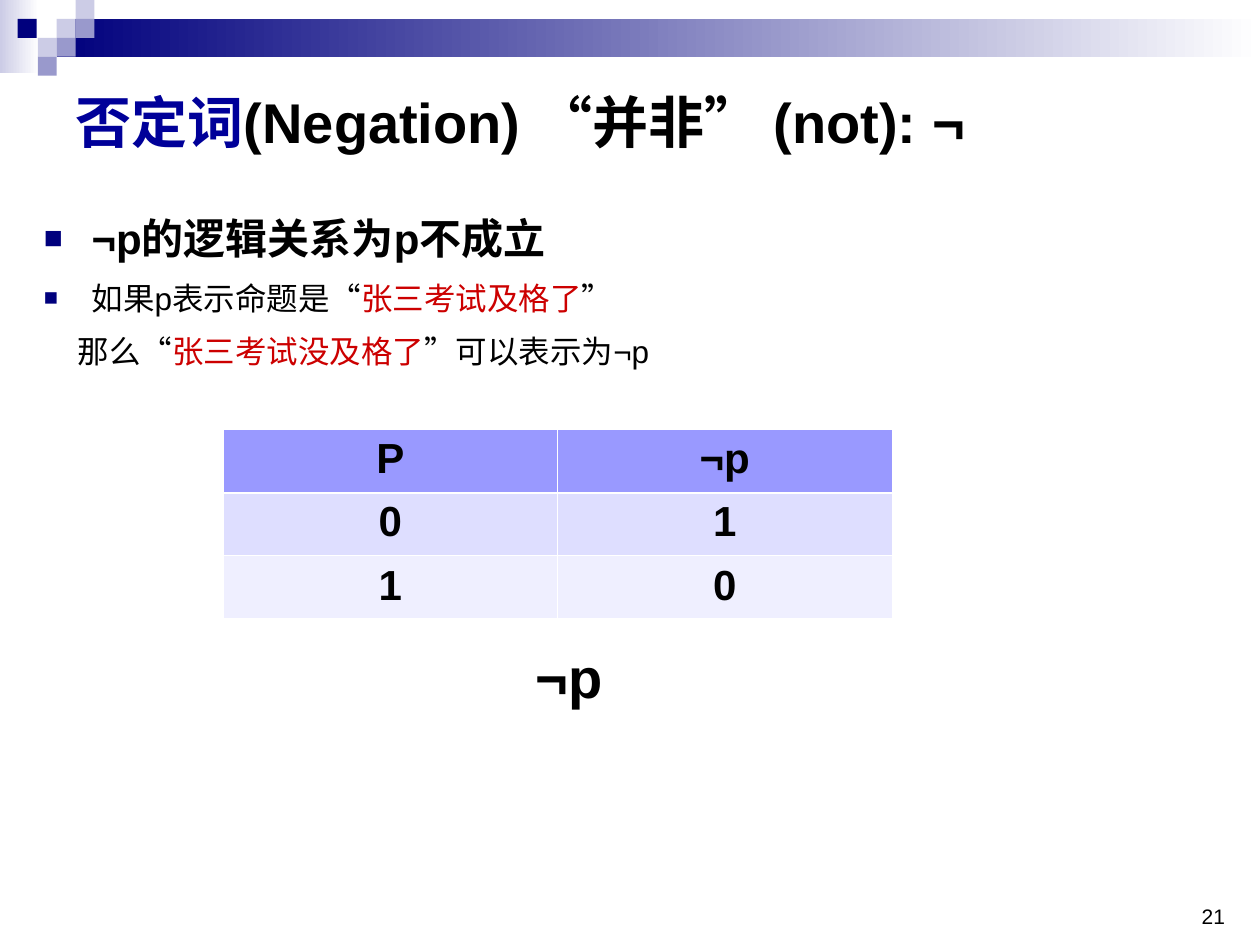
from lxml import etree
from pptx import Presentation
from pptx import util as u
from pptx.dml.color import RGBColor
from pptx.enum import shapes, text
from pptx.oxml import ns

NAVY = RGBColor(0x00, 0x00, 0x7D)
TITLE_BLUE = RGBColor(0x00, 0x00, 0x99)
LAVENDER = RGBColor(0xCC, 0xCC, 0xE6)
PERIWINKLE = RGBColor(0x99, 0x99, 0xCC)
RED = RGBColor(0xCC, 0x00, 0x00)
BLACK = RGBColor(0x00, 0x00, 0x00)
WHITE = RGBColor(0xFF, 0xFF, 0xFF)
ROW_FILLS = [
    RGBColor(0x99, 0x99, 0xFF),
    RGBColor(0xDE, 0xDE, 0xFF),
    RGBColor(0xEF, 0xEF, 0xFF),
]
LATIN, CJK = "Arial", "Noto Sans CJK SC"
THIN, THICK = 0.45, 1.47


def add_xml(parent, tag, **attributes):
    return etree.SubElement(parent, ns.qn(tag), attributes)


class SlideBuilder:
    def __init__(self, slide):
        self.slide = slide

    def block(self, left, top, width, height, color, fade_to=None):
        """Add a rectangle, fading to the right if fade_to is given."""
        rect = self.slide.shapes.add_shape(
            shapes.MSO_SHAPE.RECTANGLE,
            *(u.Inches(n) for n in (left, top, width, height)))
        rect.shadow.inherit = False
        rect.line.fill.background()
        if fade_to is None:
            rect.fill.solid()
            rect.fill.fore_color.rgb = color
        else:
            rect.fill.gradient()
            rect.fill.gradient_angle = 0
            for stop, shade in zip(rect.fill.gradient_stops, (color, fade_to)):
                stop.color.rgb = shade

    def add_runs(self, paragraph, pieces, size, bold=False):
        """Fill a paragraph with (words, colour, latin font) pieces."""
        for words, color, face in pieces:
            run = paragraph.add_run()
            run.text = words
            run.font.size = u.Pt(size)
            run.font.bold = bold
            run.font.color.rgb = color
            run.font.name = face
            add_xml(run.font._element, "a:ea", typeface=CJK)

    def title(self, left, top, width, height, pieces, size):
        holder = self.slide.shapes.title
        holder.left, holder.top = u.Inches(left), u.Inches(top)
        holder.width, holder.height = u.Inches(width), u.Inches(height)
        frame = holder.text_frame
        frame.vertical_anchor = text.MSO_ANCHOR.MIDDLE
        frame.auto_size = text.MSO_AUTO_SIZE.NONE
        frame.paragraphs[0].alignment = text.PP_ALIGN.LEFT
        self.add_runs(frame.paragraphs[0], pieces, size, True)

    def text_box(self, left, top, width, height):
        box = self.slide.shapes.add_textbox(
            *(u.Inches(n) for n in (left, top, width, height)))
        box.text_frame.word_wrap = True
        return box.text_frame

    def label(self, left, top, width, height, words, size, bold=False,
              anchor=text.MSO_ANCHOR.TOP):
        frame = self.text_box(left, top, width, height)
        frame.vertical_anchor = anchor
        frame.paragraphs[0].alignment = text.PP_ALIGN.CENTER
        self.add_runs(frame.paragraphs[0], [(words, BLACK, LATIN)], size, bold)

    def body(self, left, top, width, height, lines):
        frame = self.text_box(left, top, width, height)
        for number, (pieces, size, bold, bulleted) in enumerate(lines):
            paragraph = frame.add_paragraph() if number else frame.paragraphs[0]
            paragraph.line_spacing = 1.2
            if number:
                paragraph.space_before = u.Pt(4.5)
            properties = paragraph._p.get_or_add_pPr()
            if bulleted:
                properties.set("marL", str(u.Inches(0.38)))
                properties.set("indent", str(-u.Inches(0.38)))
                add_xml(add_xml(properties, "a:buClr"), "a:srgbClr", val=str(NAVY))
                add_xml(properties, "a:buSzPct", val="75000")
                add_xml(properties, "a:buFont", typeface=LATIN)
                add_xml(properties, "a:buChar", char="■")
            else:
                properties.set("marL", str(u.Inches(0.27)))
            self.add_runs(paragraph, pieces, size, bold)

    def border(self, cell, widths):
        """Draw white edges; widths are left, right, top, bottom in points."""
        properties = cell._tc.get_or_add_tcPr()
        for place, (side, width) in enumerate(zip("LRTB", widths)):
            edge = add_xml(properties, f"a:ln{side}", w=str(u.Pt(width)))
            add_xml(add_xml(edge, "a:solidFill"), "a:srgbClr", val=str(WHITE))
            properties.insert(place, edge)

    def truth_table(self, left, top, width, row_height, rows):
        table = self.slide.shapes.add_table(
            len(rows), len(rows[0]), u.Inches(left), u.Inches(top),
            u.Inches(width), u.Inches(row_height * len(rows))).table
        for r, values in enumerate(rows):
            above = THICK if r == 1 else THIN
            below = THICK if r == 0 else THIN
            for c, value in enumerate(values):
                cell = table.cell(r, c)
                cell.fill.solid()
                cell.fill.fore_color.rgb = ROW_FILLS[r]
                self.border(cell, (THIN, THIN, above, below))
                paragraph = cell.text_frame.paragraphs[0]
                paragraph.alignment = text.PP_ALIGN.CENTER
                self.add_runs(paragraph, [(value, BLACK, LATIN)], 24, True)


def main():
    deck = Presentation()
    deck.slide_width, deck.slide_height = u.Inches(10), u.Inches(7.5)
    builder = SlideBuilder(deck.slides.add_slide(deck.slide_layouts[5]))

    builder.block(0, 0, 0.31, 0.58, LAVENDER, fade_to=WHITE)
    builder.block(0.45, 0.15, 9.55, 0.3, NAVY, fade_to=WHITE)
    tile = 0.15
    for left, top, color in [
        (0.45, 0.15, LAVENDER), (0.6, 0, LAVENDER), (0.6, 0.15, PERIWINKLE),
        (0.3, 0.3, LAVENDER), (0.14, 0.15, NAVY), (0.45, 0.3, PERIWINKLE),
        (0.3, 0.45, PERIWINKLE),
    ]:
        builder.block(left, top, tile, tile, color)

    builder.title(0.5, 0.5, 9, 0.92, [
        ("否定词", TITLE_BLUE, LATIN), ("(Negation) ", BLACK, LATIN),
        ("“并非”", BLACK, CJK), (" (not): ¬", BLACK, LATIN)], 32)
    builder.label(9.42, 7.17, 0.42, 0.25, "21", 12,
                  anchor=text.MSO_ANCHOR.BOTTOM)
    builder.body(0.25, 1.56, 9.5, 4.92, [
        ([("¬p的逻辑关系为p不成立", BLACK, LATIN)], 24, True, True),
        ([("如果p表示命题是", BLACK, LATIN), ("“", BLACK, CJK),
          ("张三考试及格了", RED, CJK), ("”", BLACK, CJK)], 18, False, True),
        ([("那么", BLACK, LATIN), ("“", BLACK, CJK),
          ("张三考试没及格了", RED, CJK), ("”可以表示为", BLACK, CJK),
          ("¬p", BLACK, LATIN)], 18, False, False),
    ])
    builder.truth_table(1.77, 3.41, 5.31, 0.5,
                        [("P", "¬p"), ("0", "1"), ("1", "0")])
    builder.label(3.53, 5.05, 1.97, 0.64, "¬p", 32, bold=True)
    deck.save("out.pptx")


if __name__ == "__main__":
    main()
